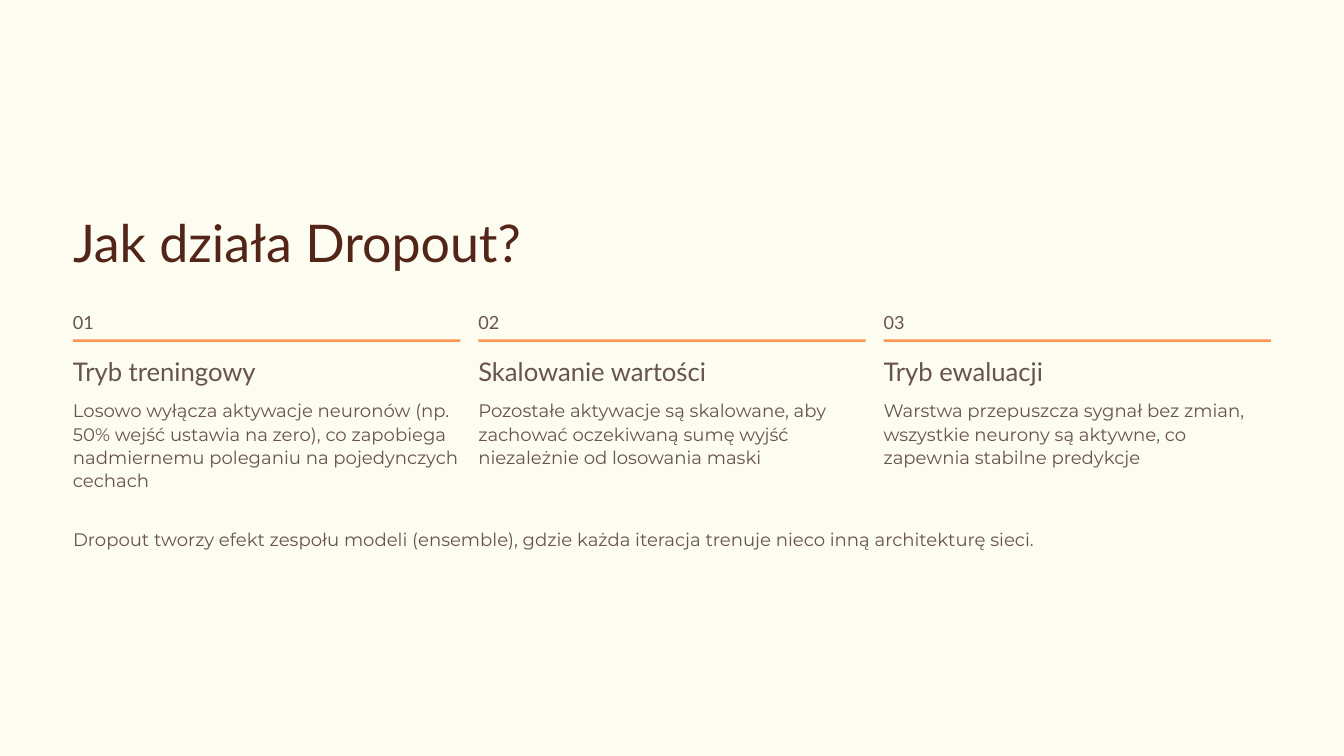
from dataclasses import dataclass

from pptx import Presentation
from pptx.dml.color import RGBColor as RGB
from pptx.enum.shapes import MSO_SHAPE as Shape
from pptx.enum.text import MSO_ANCHOR as Anchor, MSO_AUTO_SIZE as Fit, PP_ALIGN as Align
from pptx.util import Pt


@dataclass(frozen=True)
class Theme:
    back: RGB = RGB.from_string("FDFCF0")
    dark: RGB = RGB.from_string("532418")
    text: RGB = RGB.from_string("67534F")
    line: RGB = RGB.from_string("FF954F")
    head: str = "Lato"
    body: str = "Montserrat"
    big: float = 44.5
    mid: float = 22
    small: float = 15.5


theme = Theme()
LEFT, WIDTH = 62.6, 1026.8
COL, STEP = 332, 347.4


def write(box, text, place, font, size, color, lead):
    """Place a text box or placeholder and fill it with one paragraph."""
    box.left, box.top, box.width, box.height = map(Pt, place)
    frame = box.text_frame
    look = dict(margin_left=0, margin_top=0, margin_right=0, margin_bottom=0,
                word_wrap=True, auto_size=Fit.NONE, vertical_anchor=Anchor.TOP)
    for key, value in look.items():
        setattr(frame, key, value)
    frame.text = text
    para = frame.paragraphs[0]
    para.alignment = Align.LEFT
    para.line_spacing = Pt(lead)
    for key, value in dict(name=font, size=Pt(size)).items():
        setattr(para.font, key, value)
    para.font.color.rgb = color


def label(text, place, font, size, lead):
    box = slide.shapes.add_textbox(0, 0, 0, 0)
    write(box, text, place, font, size, theme.text, lead)


deck = Presentation()
deck.slide_width, deck.slide_height = Pt(1152), Pt(648)
slide = deck.slides.add_slide(deck.slide_layouts[5])
fill = slide.background.fill
fill.solid()
fill.fore_color.rgb = theme.back

write(slide.shapes.title, "Jak działa Dropout?", (LEFT, 175.7, WIDTH, 58.3),
      theme.head, theme.big, theme.dark, 58)

steps = [
    ("Tryb treningowy",
     "Losowo wyłącza aktywacje neuronów (np. 50% wejść ustawia na zero), "
     "co zapobiega nadmiernemu poleganiu na pojedynczych cechach"),
    ("Skalowanie wartości",
     "Pozostałe aktywacje są skalowane, aby zachować oczekiwaną sumę wyjść "
     "niezależnie od losowania maski"),
    ("Tryb ewaluacji",
     "Warstwa przepuszcza sygnał bez zmian, wszystkie neurony są aktywne, "
     "co zapewnia stabilne predykcje"),
]
for i, (name, text) in enumerate(steps):
    x = LEFT + i * STEP
    label(f"{i + 1:02}", (x, 265.7, COL, 20), theme.head, theme.small, 20)
    rule = slide.shapes.add_shape(Shape.RECTANGLE, Pt(x), Pt(290.9), Pt(COL), Pt(2.2))
    rule.shadow.inherit = False
    rule.fill.solid()
    rule.fill.fore_color.rgb = theme.line
    rule.line.fill.background()
    label(name, (x, 302.4, COL, 29.5), theme.head, theme.mid, 29)
    label(text, (x, 341.3, COL, 81.4), theme.body, theme.small, 20)

label("Dropout tworzy efekt zespołu modeli (ensemble), gdzie każda iteracja "
      "trenuje nieco inną architekturę sieci.",
      (LEFT, 451.4, WIDTH, 20), theme.body, theme.small, 20)

deck.save("out.pptx")
